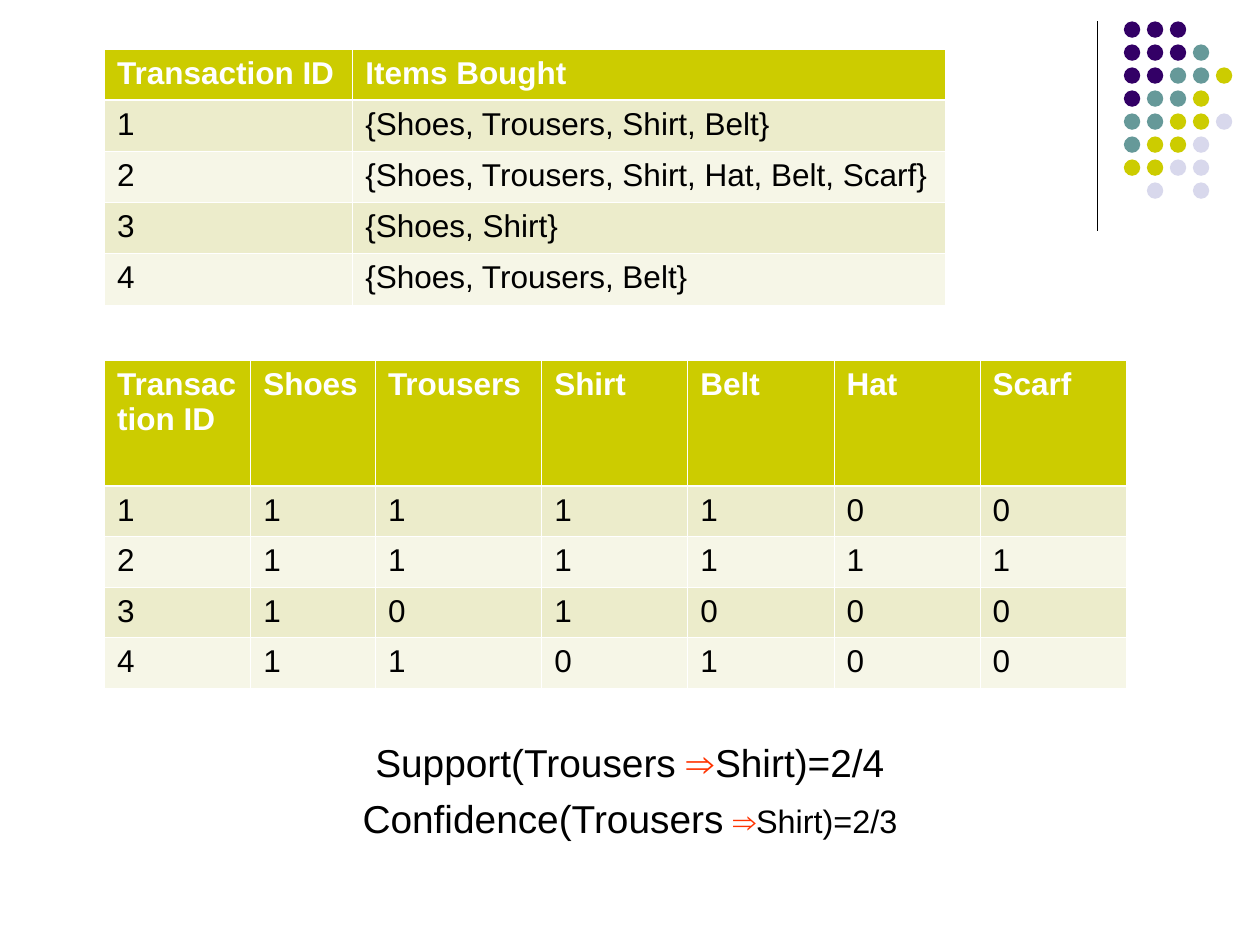
from lxml import etree
from pptx import Presentation
from pptx import util as u
from pptx.dml.color import RGBColor
from pptx.enum import shapes, text
from pptx.oxml.ns import qn

WHITE = RGBColor(0xFF, 0xFF, 0xFF)
BLACK = RGBColor(0, 0, 0)
OLIVE = RGBColor(0xCC, 0xCC, 0x00)
BAND_DARK = RGBColor(0xEC, 0xEC, 0xCB)
BAND_LIGHT = RGBColor(0xF6, 0xF6, 0xE7)
ARROW_RED = RGBColor(0xFF, 0x33, 0x00)
DOT_COLOURS = {
    "P": RGBColor(0x33, 0x00, 0x66),
    "T": RGBColor(0x66, 0x99, 0x99),
    "O": OLIVE,
    "L": RGBColor(0xD8, 0xD8, 0xEC),
}
DOT_ROWS = ["PPP", "PPPT", "PPTTO", "PTTO", "TTOOL", "TOOL", "OOLL", ".L.L"]
FONT = "Arial"

BASKETS = [
    ["Shoes", "Trousers", "Shirt", "Belt"],
    ["Shoes", "Trousers", "Shirt", "Hat", "Belt", "Scarf"],
    ["Shoes", "Shirt"],
    ["Shoes", "Trousers", "Belt"],
]
ITEMS = ["Shoes", "Trousers", "Shirt", "Belt", "Hat", "Scarf"]
RULES = [
    [("Support(Trousers ", 22.2, BLACK), ("⇒", 22.2, ARROW_RED),
     ("Shirt)=2/4", 22.2, BLACK)],
    [("Confidence(Trousers", 22.2, BLACK), (" ⇒", 18.5, ARROW_RED),
     ("Shirt)=2/3", 18.5, BLACK)],
]


def draw_corner_ornament(slide, left, top, height):
    rule = slide.shapes.add_connector(
        shapes.MSO_CONNECTOR.STRAIGHT, u.Inches(left), u.Inches(top),
        u.Inches(left), u.Inches(top + height))
    rule.line.color.rgb = BLACK
    rule.line.width = u.Pt(0.75)
    etree.SubElement(rule.line._get_or_add_ln().getparent(), qn("a:effectLst"))

    pitch = height * 0.11
    diameter = u.Inches(0.13)
    dots = slide.shapes.add_group_shape()
    for row, pattern in enumerate(DOT_ROWS):
        for col, key in enumerate(pattern):
            if key not in DOT_COLOURS:
                continue
            dot = dots.shapes.add_shape(
                shapes.MSO_SHAPE.OVAL, u.Inches(left + 0.21 + col * pitch),
                u.Inches(top + row * pitch), diameter, diameter)
            dot.shadow.inherit = False
            dot.fill.solid()
            dot.fill.fore_color.rgb = DOT_COLOURS[key]
            dot.line.fill.background()


def draw_borders(cell, widths):
    properties = cell._tc.get_or_add_tcPr()
    for position, (side, width) in enumerate(widths.items()):
        border = etree.Element(qn(f"a:ln{side}"), w=str(u.Pt(width)))
        fill = etree.SubElement(border, qn("a:solidFill"))
        etree.SubElement(fill, qn("a:srgbClr"), val=str(WHITE))
        properties.insert(position, border)


def draw_table(slide, left, top, col_widths, row_heights, rows):
    table = slide.shapes.add_table(
        len(rows), len(col_widths), u.Inches(left), u.Inches(top),
        u.Inches(sum(col_widths)), u.Inches(sum(row_heights))).table
    for column, width in zip(table.columns, col_widths):
        column.width = u.Inches(width)
    for r, (values, height) in enumerate(zip(rows, row_heights)):
        table.rows[r].height = u.Inches(height)
        header = r == 0
        for c, value in enumerate(values):
            cell = table.cell(r, c)
            cell.text = value
            cell.fill.solid()
            cell.fill.fore_color.rgb = (
                OLIVE if header else BAND_DARK if r % 2 else BAND_LIGHT)
            draw_borders(cell, {"L": 0.45, "R": 0.45,
                                "T": 1.47 if r == 1 else 0.45,
                                "B": 1.47 if header else 0.45})
            font = cell.text_frame.paragraphs[0].font
            font.name, font.size, font.bold = FONT, u.Pt(18), header
            font.color.rgb = WHITE if header else BLACK


def draw_rules(slide, left, top, width, height):
    frame = slide.shapes.add_textbox(
        *(u.Inches(side) for side in (left, top, width, height))).text_frame
    frame.word_wrap = True
    frame.vertical_anchor = text.MSO_ANCHOR.MIDDLE
    for index, pieces in enumerate(RULES):
        line = frame.add_paragraph() if index else frame.paragraphs[0]
        line.alignment = text.PP_ALIGN.CENTER
        line.space_before = u.Pt(5 if index else 6)
        line.font.name = FONT
        for wording, size, colour in pieces:
            run = line.add_run()
            run.text = wording
            run.font.size = u.Pt(size)
            run.font.color.rgb = colour


def main():
    deck = Presentation()
    deck.slide_width, deck.slide_height = u.Inches(10), u.Inches(7.5)
    slide = deck.slides.add_slide(deck.slide_layouts[6])

    purchases = [["Transaction ID", "Items Bought"]]
    incidence = [["Transaction ID", *ITEMS]]
    for number, basket in enumerate(BASKETS, 1):
        purchases.append([str(number), "{" + ", ".join(basket) + "}"])
        incidence.append(
            [str(number)] + [str(int(item in basket)) for item in ITEMS])

    margin = 0.83
    draw_corner_ornament(slide, 8.71, 0.17, 1.66)
    draw_table(slide, margin, 0.39, [1.97, 4.7],
               [2.03 / len(purchases)] * len(purchases), purchases)
    draw_table(slide, margin, 2.86, [1.16, 0.99, 1.32] + [1.16] * 4,
               [1] + [0.4] * len(BASKETS), incidence)
    draw_rules(slide, 0.5, 5.8, 9, 0.94)
    deck.save("out.pptx")


if __name__ == "__main__":
    main()
